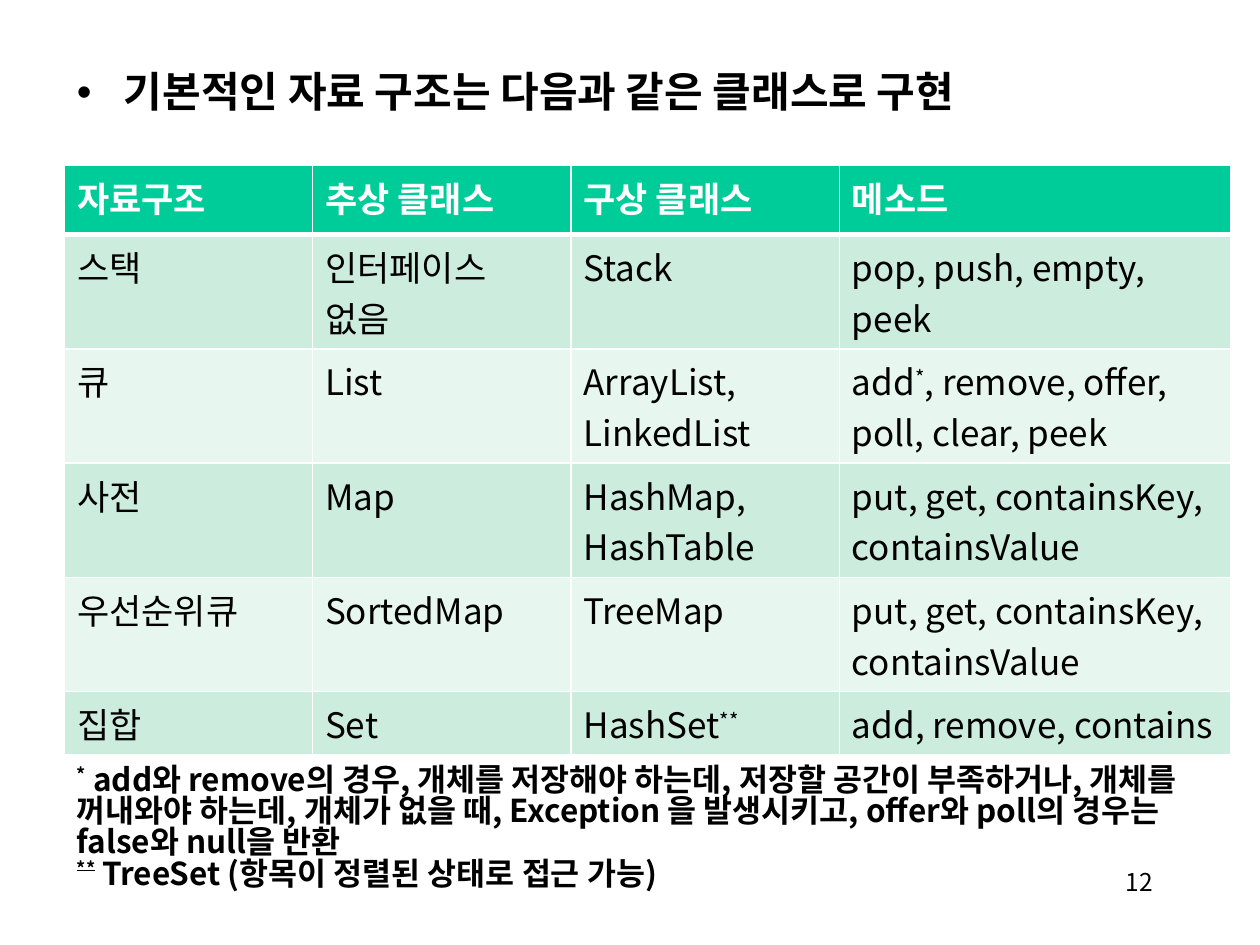
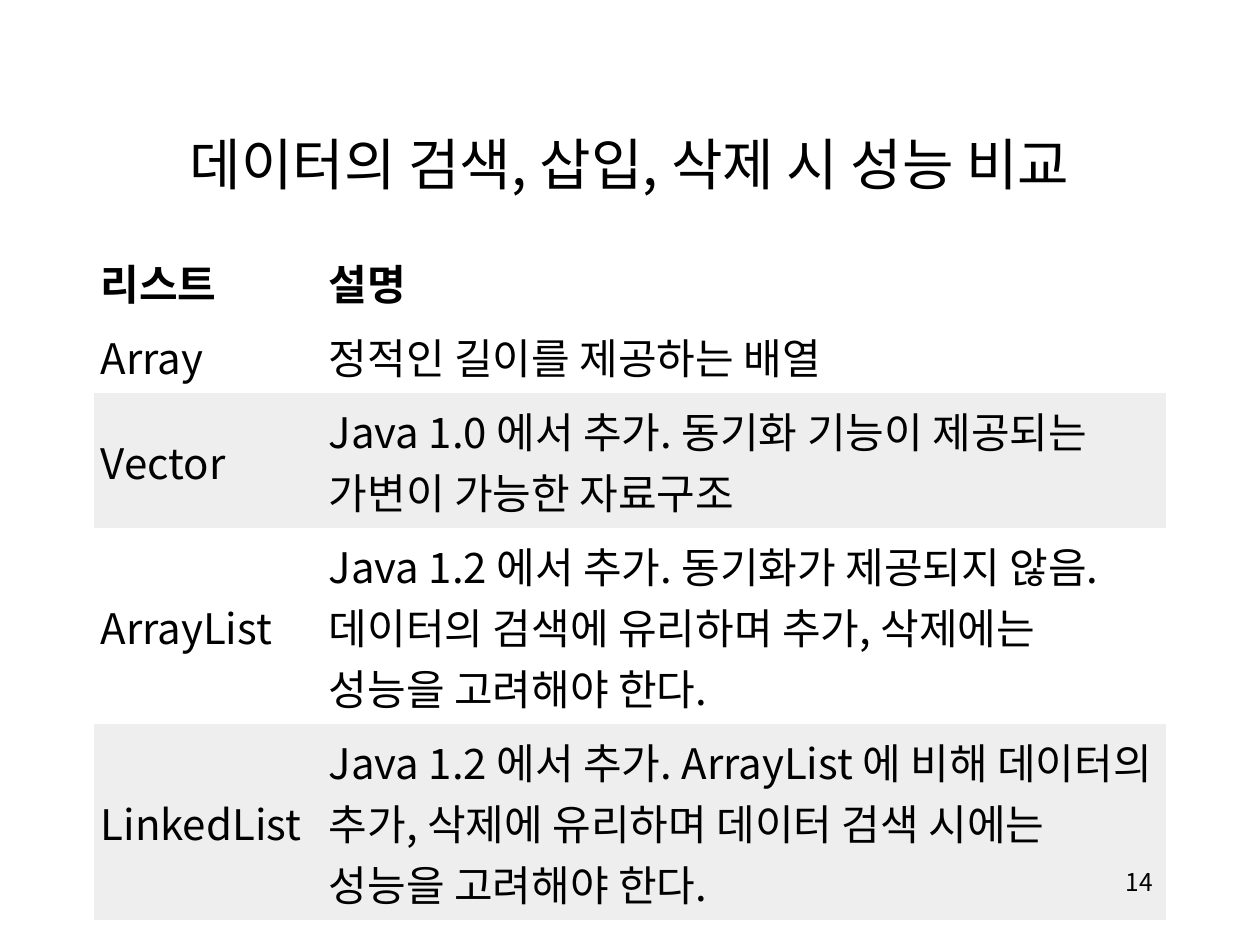
from lxml import etree
from pptx import Presentation
from pptx.dml.color import RGBColor
from pptx.enum.text import MSO_ANCHOR, MSO_AUTO_SIZE, PP_ALIGN
from pptx.oxml.ns import qn
from pptx.util import Cm, Pt

TOP, MIDDLE = MSO_ANCHOR.TOP, MSO_ANCHOR.MIDDLE
LEFT, CENTER, RIGHT = PP_ALIGN.LEFT, PP_ALIGN.CENTER, PP_ALIGN.RIGHT
FIT_SHAPE, NO_FIT = MSO_AUTO_SIZE.SHAPE_TO_FIT_TEXT, MSO_AUTO_SIZE.NONE
TITLE_ONLY, BLANK = 5, 6

FONT = "Noto Sans CJK KR"
BLACK, WHITE = "000000", "FFFFFF"
GREEN, MINT, PALE_MINT = "00CC99", "CCECDE", "E7F6EF"
GRAY = "EEEEEE"
PLAIN_TABLE_STYLE = "{2D5ABB26-0587-4C30-8999-92F81FD0307C}"

# Run attributes for footnote marks
SUPERSCRIPT = {"baseline": "30000"}
STRUCK_SUPERSCRIPT = {"baseline": "30000", "strike": "sngStrike"}

STRUCTURES = [
    ["자료구조", "추상 클래스", "구상 클래스", "메소드"],
    ["스택", "인터페이스 없음", "Stack", "pop, push, empty, peek"],
    ["큐", "List", "ArrayList, LinkedList",
     [("add", {}), ("*", SUPERSCRIPT),
      (", remove, offer, poll, clear, peek", {})]],
    ["사전", "Map", "HashMap, HashTable", "put, get, containsKey, containsValue"],
    ["우선순위큐", "SortedMap", "TreeMap",
     "put, get, containsKey, containsValue"],
    ["집합", "Set", [("HashSet", {}), ("**", SUPERSCRIPT)],
     "add, remove, contains"],
]

FOOTNOTES = [
    [("*", SUPERSCRIPT),
     (" add와 remove의 경우, 개체를 저장해야 하는데, 저장할 공간이 부족하거나, "
      "개체를 꺼내와야 하는데, 개체가 없을 때, Exception 을 발생시키고, "
      "offer와 poll의 경우는 false와 null을 반환", {})],
    [("**", STRUCK_SUPERSCRIPT),
     (" TreeSet (항목이 정렬된 상태로 접근 가능)", {})],
]

LISTS = [
    ["리스트", "설명"],
    ["Array", "정적인 길이를 제공하는 배열"],
    ["Vector", "Java 1.0 에서 추가. 동기화 기능이 제공되는 가변이 가능한 자료구조"],
    ["ArrayList", "Java 1.2 에서 추가. 동기화가 제공되지 않음. 데이터의 검색에 "
                  "유리하며 추가, 삭제에는 성능을 고려해야 한다."],
    ["LinkedList", "Java 1.2 에서 추가. ArrayList 에 비해 데이터의 추가, 삭제에 "
                   "유리하며 데이터 검색 시에는 성능을 고려해야 한다."],
]


def color(hex_text):
    return RGBColor.from_string(hex_text)


def add_runs(paragraph, content, size, bold=False, font_color=BLACK):
    """Add a string, or a list of (text, run attributes) pairs."""
    runs = [(content, {})] if isinstance(content, str) else content
    for text, attributes in runs:
        run = paragraph.add_run()
        run.text = text
        font = run.font
        font.name, font.size, font.bold = FONT, Pt(size), bold
        font.color.rgb = color(font_color)
        properties = run._r.get_or_add_rPr()
        etree.SubElement(properties, qn("a:ea"), typeface=FONT)
        for name, value in attributes.items():
            properties.set(name, value)


def add_text(slide, box, paragraphs, size, bold=False, alignment=LEFT,
             line_spacing=1.0, auto_size=NO_FIT):
    shape = slide.shapes.add_textbox(*map(Cm, box))
    frame = shape.text_frame
    frame.word_wrap = True
    frame.auto_size = auto_size
    for index, content in enumerate(paragraphs):
        paragraph = frame.add_paragraph() if index else frame.paragraphs[0]
        paragraph.alignment = alignment
        paragraph.line_spacing = line_spacing
        add_runs(paragraph, content, size, bold)
    return shape


def add_bullet(paragraph, indent):
    properties = paragraph._p.get_or_add_pPr()
    properties.set("marL", str(Cm(indent)))
    properties.set("indent", str(-Cm(indent)))
    etree.SubElement(properties, qn("a:buFont"), typeface="Arial")
    etree.SubElement(properties, qn("a:buChar"), char="•")


def add_slide_number(slide, number):
    add_text(slide, (18.21, 17.35, 5.28, 1.27), [str(number)], 14,
             alignment=RIGHT)


def set_title(slide, text):
    title = slide.shapes.title
    title.left, title.top = Cm(1.9), Cm(1.7)
    title.width, title.height = Cm(21.59), Cm(3.18)
    title.text_frame.vertical_anchor = MIDDLE
    paragraph = title.text_frame.paragraphs[0]
    paragraph.alignment = CENTER
    add_runs(paragraph, text, 32)


def set_borders(cell, bottom_width):
    properties = cell._tc.get_or_add_tcPr()
    widths = {"a:lnL": 1, "a:lnR": 1, "a:lnT": 1, "a:lnB": bottom_width}
    for position, (tag, width) in enumerate(widths.items()):
        line = etree.Element(qn(tag), w=str(Pt(width)))
        fill = etree.SubElement(line, qn("a:solidFill"))
        etree.SubElement(fill, qn("a:srgbClr"), val=WHITE)
        properties.insert(position, line)


def add_table(slide, left, top, widths, heights, rows, size, fills,
              header_color=BLACK, anchor=TOP, inset=None, bordered=False):
    """Fills hold one colour per row, or None for a clear row."""
    shape = slide.shapes.add_table(
        len(rows), len(widths), Cm(left), Cm(top),
        Cm(sum(widths)), Cm(sum(heights)))
    table = shape.table
    table.horz_banding = False
    table._tbl.tblPr.find(qn("a:tableStyleId")).text = PLAIN_TABLE_STYLE
    for column, width in zip(table.columns, widths):
        column.width = Cm(width)
    for row_index, contents in enumerate(rows):
        table.rows[row_index].height = Cm(heights[row_index])
        is_header = row_index == 0
        for column_index, content in enumerate(contents):
            cell = table.cell(row_index, column_index)
            cell.vertical_anchor = anchor
            if inset is not None:
                cell.margin_left = cell.margin_right = Cm(inset)
                cell.margin_top = cell.margin_bottom = Cm(inset)
            if fills[row_index]:
                cell.fill.solid()
                cell.fill.fore_color.rgb = color(fills[row_index])
            else:
                cell.fill.background()
            if bordered:
                set_borders(cell, 3 if is_header else 1)
            add_runs(cell.text_frame.paragraphs[0], content, size, is_header,
                     header_color if is_header else BLACK)


def build_structures_slide(presentation):
    slide = presentation.slides.add_slide(presentation.slide_layouts[BLANK])
    add_table(slide, 1.3, 3.33, [5.0, 5.21, 5.41, 7.9],
              [1.4] + [2.3] * 4 + [1.27], STRUCTURES, 20,
              [GREEN, MINT, PALE_MINT, MINT, PALE_MINT, MINT],
              header_color=WHITE, bordered=True)
    add_slide_number(slide, 12)
    heading = add_text(slide, (1.3, 1.32, 21.59, 2),
                       ["기본적인 자료 구조는 다음과 같은 클래스로 구현"], 24,
                       bold=True, line_spacing=0.9)
    add_bullet(heading.text_frame.paragraphs[0], 0.95)
    add_text(slide, (1.3, 15.32, 23.7, 3.33), FOOTNOTES, 18, bold=True,
             line_spacing=0.83, auto_size=FIT_SHAPE)


def build_lists_slide(presentation):
    slide = presentation.slides.add_slide(
        presentation.slide_layouts[TITLE_ONLY])
    set_title(slide, "데이터의 검색, 삽입, 삭제 시 성능 비교")
    add_table(slide, 1.9, 4.95, [4.6, 17], [1.49, 1.49, 2.72, 3.95, 3.95],
              LISTS, 24, [None, None, GRAY, None, GRAY],
              anchor=MIDDLE, inset=0.13)
    add_slide_number(slide, 14)


def main():
    presentation = Presentation()
    presentation.slide_width, presentation.slide_height = Cm(25.4), Cm(19.05)
    build_structures_slide(presentation)
    build_lists_slide(presentation)
    presentation.save("out.pptx")


main()
